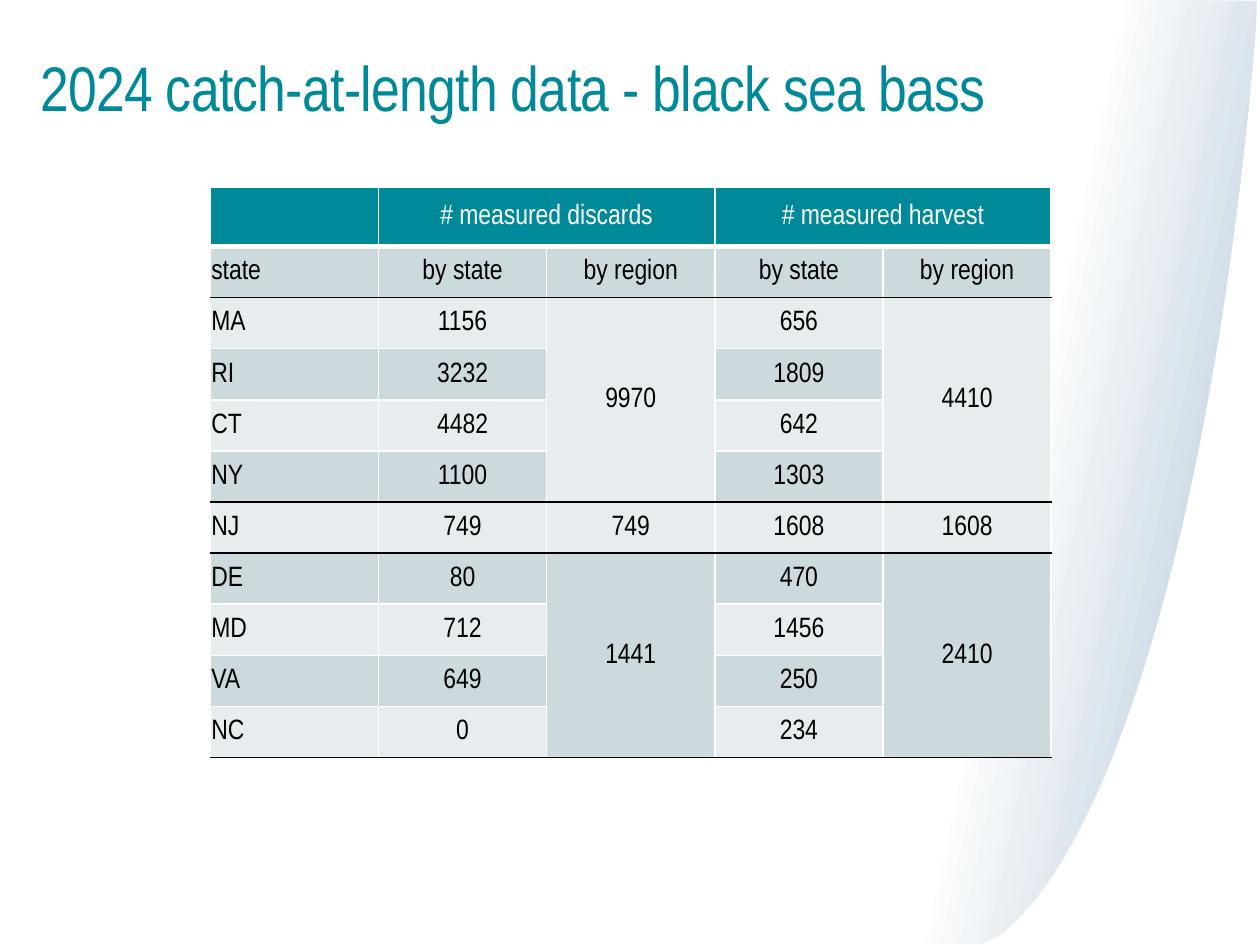
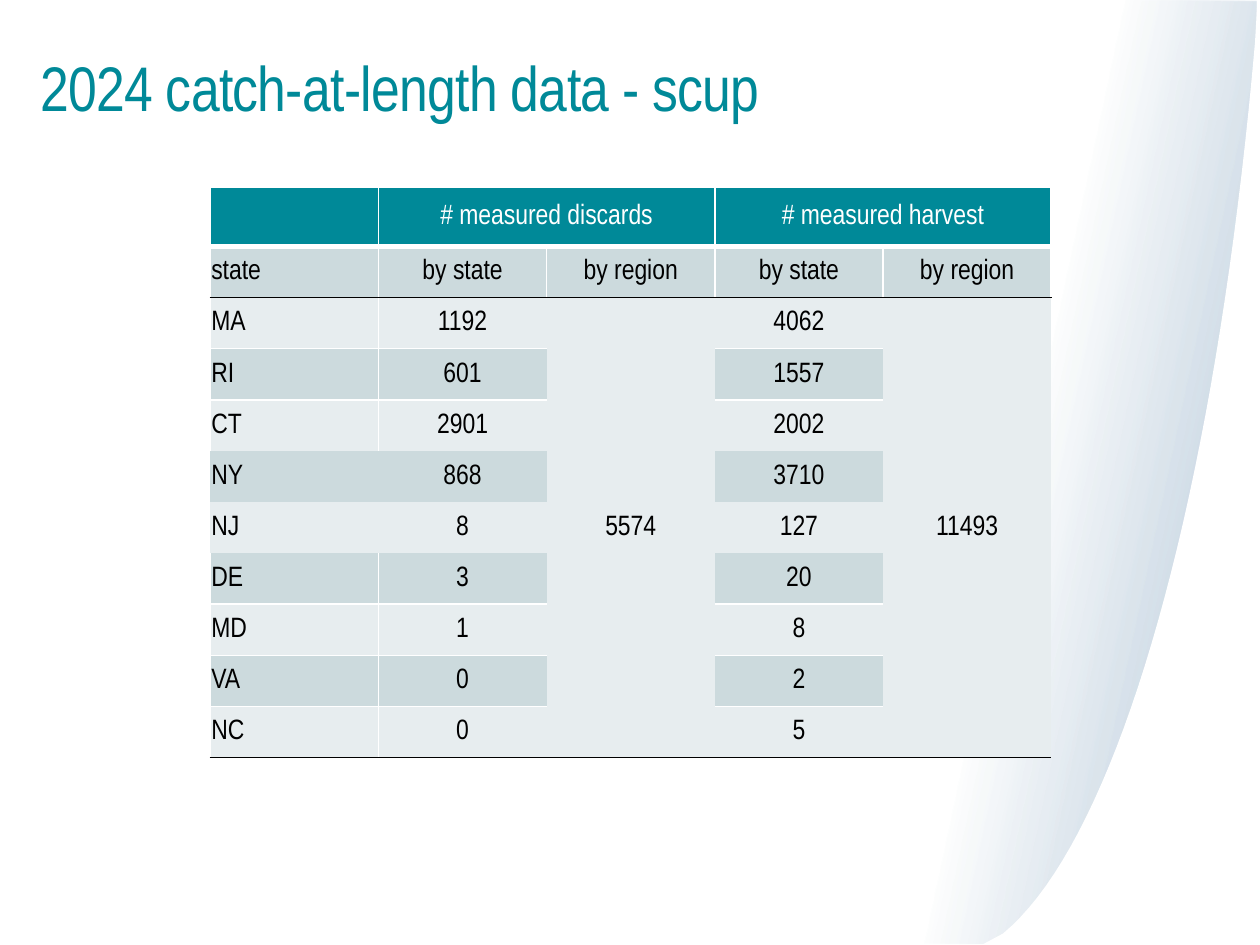
from lxml import etree
from pptx import Presentation
from pptx.dml.color import RGBColor
from pptx.enum.text import MSO_ANCHOR, PP_ALIGN
from pptx.oxml.ns import qn
from pptx.util import Cm, Pt

CENTER, LEFT, MIDDLE = PP_ALIGN.CENTER, PP_ALIGN.LEFT, MSO_ANCHOR.MIDDLE

TEAL = RGBColor(0x00, 0x89, 0x98)
NAVY = RGBColor(0x07, 0x47, 0x7D)
DARK_BAND = RGBColor(0xCC, 0xDA, 0xDD)
LIGHT_BAND = RGBColor(0xE7, 0xED, 0xEF)
WHITE = RGBColor(0xFF, 0xFF, 0xFF)
BLACK = RGBColor(0x00, 0x00, 0x00)

FONT = "Arial Narrow"
TITLE_FONT = {"name": FONT, "size": Pt(36)}
CELL_FONT = {"name": FONT, "size": Pt(16)}
CELL_FORMAT = {
    "vertical_anchor": MIDDLE,
    "margin_left": Cm(0.02),
    "margin_right": Cm(0.02),
    "margin_top": Cm(0.02),
    "margin_bottom": 0,
}

GROUP_HEADERS = ["", "# measured discards", "", "# measured harvest", ""]
COLUMN_HEADERS = ["state", "by state", "by region", "by state", "by region"]
HEADER_ROWS = 2
GROUP_COLUMNS = (1, 3)
REGION_COLUMNS = (2, 4)

SPECIES = [
    {
        "title": "2024 catch-at-length data - black sea bass",
        "regions": [
            (9970, 4410, [("MA", 1156, 656), ("RI", 3232, 1809),
                          ("CT", 4482, 642), ("NY", 1100, 1303)]),
            (749, 1608, [("NJ", 749, 1608)]),
            (1441, 2410, [("DE", 80, 470), ("MD", 712, 1456),
                          ("VA", 649, 250), ("NC", 0, 234)]),
        ],
        "region_dividers": True,
        "borderless_states": (),
    },
    {
        "title": "2024 catch-at-length data - scup",
        "regions": [
            (5574, 11493, [("MA", 1192, 4062), ("RI", 601, 1557), ("CT", 2901, 2002),
                           ("NY", 868, 3710), ("NJ", 8, 127), ("DE", 3, 20),
                           ("MD", 1, 8), ("VA", 0, 2), ("NC", 0, 5)]),
        ],
        "region_dividers": False,
        "borderless_states": ("NY", "NJ"),
    },
]

SLIDE_WIDTH, SLIDE_HEIGHT = 25.4, 19.05
TABLE_LEFT, TABLE_TOP = 4.24, 3.78
COLUMN_WIDTH, HEADER_HEIGHT, ROW_HEIGHT = 3.39, 1.19, 1.03
CURVE_STEPS = 40

SWOOSH_CORNERS = [(24.92, 19.05), (17.75, 19.02), (22.15, 0), (25.32, 0.03)]
SWOOSH_CURVE = [(25.32, 0.03), (25.37, 8.86), (24.54, 12.09), (24.92, 19.05)]
SWOOSH_STOPS = [(0.42, 0), (1, 34000)]
SWOOSH_ANGLE = 348
MASK_CORNERS = [(25.35, 0), (25.4, 0), (25.4, 19.05), (19.79, 19.05), (20.22, 18.82)]
MASK_CURVE = [(20.22, 18.82), (22.58, 16.87), (24.51, 9.93), (25.3, 0.86)]


def apply_format(target, values):
    for name, value in values.items():
        setattr(target, name, value)


def curve_points(controls):
    points = []
    for step in range(1, CURVE_STEPS + 1):
        t = step / CURVE_STEPS
        weights = ((1 - t) ** 3, 3 * t * (1 - t) ** 2, 3 * t * t * (1 - t), t ** 3)
        points.append(tuple(sum(w * p[axis] for w, p in zip(weights, controls))
                            for axis in (0, 1)))
    return points


def add_outline(slide, corners, curve):
    first, *rest = [(Cm(x), Cm(y)) for x, y in corners + curve_points(curve)]
    builder = slide.shapes.build_freeform(*first)
    builder.add_line_segments(rest, close=True)
    shape = builder.convert_to_shape()
    shape.shadow.inherit = False
    shape.line.fill.background()
    return shape


def add_background(slide):
    swoosh = add_outline(slide, SWOOSH_CORNERS, SWOOSH_CURVE)
    swoosh.fill.gradient()
    swoosh.fill.gradient_angle = SWOOSH_ANGLE
    for stop, (position, opacity) in zip(swoosh.fill.gradient_stops, SWOOSH_STOPS):
        stop.position = position
        stop.color.rgb = NAVY
    colors = swoosh.element.spPr.findall(".//" + qn("a:srgbClr"))
    for color, (position, opacity) in zip(colors, SWOOSH_STOPS):
        etree.SubElement(color, qn("a:alpha"), val=str(opacity))
    mask = add_outline(slide, MASK_CORNERS, MASK_CURVE)
    mask.fill.solid()
    mask.fill.fore_color.rgb = WHITE


def add_title(slide, text):
    frame = slide.shapes.add_textbox(Cm(0.56), Cm(1.02), Cm(23.09), Cm(2.64)).text_frame
    frame.word_wrap = True
    paragraph = frame.paragraphs[0]
    paragraph.line_spacing = 0.9
    run = paragraph.add_run()
    run.text = text
    apply_format(run.font, TITLE_FONT)
    run.font.color.rgb = TEAL
    run.font._element.set("spc", "-40")


def set_border(cell, side, line):
    properties = cell._tc.get_or_add_tcPr()
    border = etree.SubElement(properties, qn("a:ln" + side))
    if line is None:
        border.set("w", "0")
        etree.SubElement(border, qn("a:noFill"))
        return
    color, width = line
    border.set("w", str(Pt(width)))
    fill = etree.SubElement(border, qn("a:solidFill"))
    etree.SubElement(fill, qn("a:srgbClr"), val=str(color))


def build_rows(regions):
    rows = [GROUP_HEADERS, COLUMN_HEADERS]
    region_edges = [HEADER_ROWS]
    for discards, harvest, states in regions:
        for index, (state, state_discards, state_harvest) in enumerate(states):
            totals = ("", "") if index else (discards, harvest)
            rows.append([state, state_discards, totals[0], state_harvest, totals[1]])
        region_edges.append(len(rows))
    return rows, region_edges


def style_cell(cell, text, row, column):
    apply_format(cell, CELL_FORMAT)
    cell.fill.solid()
    cell.fill.fore_color.rgb = TEAL if row == 0 else (LIGHT_BAND, DARK_BAND)[row % 2]
    if text == "":
        return
    paragraph = cell.text_frame.paragraphs[0]
    paragraph.alignment = CENTER if column else LEFT
    run = paragraph.add_run()
    run.text = str(text)
    apply_format(run.font, CELL_FONT)
    run.font.color.rgb = BLACK if row else WHITE


def add_catch_table(slide, species):
    rows, region_edges = build_rows(species["regions"])
    borderless = [index for index, row in enumerate(rows)
                  if row[0] in species["borderless_states"]]

    def line_across(edge, column):
        if edge in region_edges:
            return BLACK, 1
        inside_region = column in REGION_COLUMNS and edge > HEADER_ROWS
        if inside_region or edge in borderless or edge - 1 in borderless:
            return None
        return WHITE, 3 if edge == 1 else 1

    def line_down(row, edge):
        inside_group = row == 0 and edge - 1 in GROUP_COLUMNS
        open_body = (not species["region_dividers"]) and row >= HEADER_ROWS and edge > 1
        return None if inside_group or open_body or row in borderless else (WHITE, 1)

    column_count = len(COLUMN_HEADERS)
    table = slide.shapes.add_table(
        len(rows), column_count, Cm(TABLE_LEFT), Cm(TABLE_TOP),
        Cm(COLUMN_WIDTH * column_count),
        Cm(HEADER_HEIGHT + ROW_HEIGHT * (len(rows) - 1))).table
    apply_format(table, {"first_row": False, "horz_banding": False})
    for column in table.columns:
        column.width = Cm(COLUMN_WIDTH)
    for index, row in enumerate(table.rows):
        row.height = Cm(ROW_HEIGHT if index else HEADER_HEIGHT)

    for column in GROUP_COLUMNS:
        table.cell(0, column).merge(table.cell(0, column + 1))
    for start, end in zip(region_edges, region_edges[1:]):
        if end - start > 1:
            for column in REGION_COLUMNS:
                table.cell(start, column).merge(table.cell(end - 1, column))

    for row, values in enumerate(rows):
        for column, text in enumerate(values):
            cell = table.cell(row, column)
            right = column + (cell.span_width if cell.is_merge_origin else 1)
            bottom = row + (cell.span_height if cell.is_merge_origin else 1)
            set_border(cell, "L", line_down(row, column))
            set_border(cell, "R", line_down(row, right))
            set_border(cell, "T", line_across(row, column))
            set_border(cell, "B", line_across(bottom, column))
            style_cell(cell, text, row, column)


def main():
    presentation = Presentation()
    presentation.slide_width = Cm(SLIDE_WIDTH)
    presentation.slide_height = Cm(SLIDE_HEIGHT)
    blank_layout = presentation.slide_layouts[6]
    for species in SPECIES:
        slide = presentation.slides.add_slide(blank_layout)
        add_background(slide)
        add_title(slide, species["title"])
        add_catch_table(slide, species)
    presentation.save("out.pptx")


if __name__ == "__main__":
    main()
